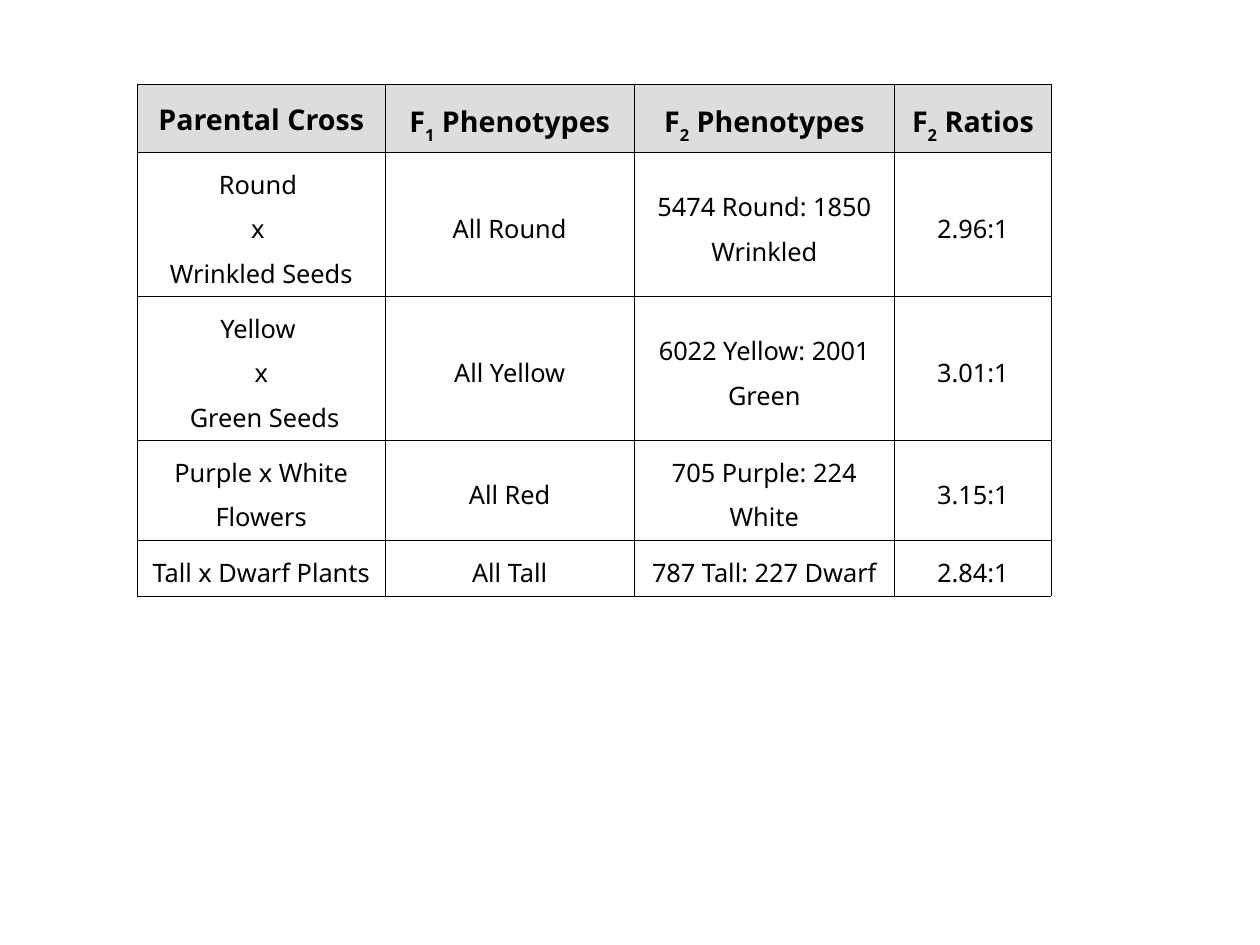
from dataclasses import dataclass

from lxml.etree import SubElement
from pptx import Presentation
from pptx.dml.color import RGBColor
from pptx.enum.text import MSO_ANCHOR, PP_ALIGN
from pptx.oxml.ns import qn
from pptx.util import Cm, Pt


@dataclass(frozen=True)
class Theme:
    font: str = "Noto Sans"
    ink: str = "000000"
    header_fill: str = "DDDDDD"
    body_fill: str = "FFFFFF"
    header_size: float = 18
    body_size: float = 16
    line_spacing: float = 1.28
    border_width: float = 0.17


HEADINGS = ["Parental Cross", "F_1_ Phenotypes", "F_2_ Phenotypes", "F_2_ Ratios"]
CROSSES = [
    ["Round \nx \nWrinkled Seeds", "All Round", "5474 Round: 1850 Wrinkled", "2.96:1"],
    ["Yellow \nx\n Green Seeds", "All Yellow", "6022 Yellow: 2001 Green", "3.01:1"],
    ["Purple x White Flowers", "All Red", "705 Purple: 224 White", "3.15:1"],
    ["Tall x Dwarf Plants", "All Tall", "787 Tall: 227 Dwarf", "2.84:1"],
]
COLUMN_WIDTHS = [5.51, 5.53, 5.79, 3.48]
ROW_HEIGHTS = [1.52, 3.2, 3.2, 2.21, 1.24]


class SlideBuilder:
    """Draw styled elements on one slide; underscores in text enclose subscripts."""

    def __init__(self, slide, theme):
        self.slide = slide
        self.theme = theme

    def add_table(self, left, top, widths, heights, rows):
        frame = self.slide.shapes.add_table(
            len(rows), len(widths), Cm(left), Cm(top), Cm(sum(widths)), Cm(sum(heights))
        )
        table = frame.table
        for column, width in zip(table.columns, widths):
            column.width = Cm(width)
        for row, height in zip(table.rows, heights):
            row.height = Cm(height)
        for row_index, texts in enumerate(rows):
            for column_index, text in enumerate(texts):
                self.fill_cell(table.cell(row_index, column_index), text, row_index == 0)

    def fill_cell(self, cell, text, is_header):
        theme = self.theme
        self.add_borders(cell)
        cell.fill.solid()
        cell.fill.fore_color.rgb = RGBColor.from_string(
            theme.header_fill if is_header else theme.body_fill
        )
        cell.vertical_anchor = MSO_ANCHOR.TOP if is_header else MSO_ANCHOR.MIDDLE
        for index, line in enumerate(text.split("\n")):
            text_frame = cell.text_frame
            paragraph = text_frame.add_paragraph() if index else text_frame.paragraphs[0]
            self.write_line(paragraph, line, is_header)

    def write_line(self, paragraph, line, is_header):
        theme = self.theme
        paragraph.alignment = PP_ALIGN.CENTER
        paragraph.line_spacing = theme.line_spacing
        paragraph.font.name = theme.font
        paragraph.font.size = Pt(theme.header_size if is_header else theme.body_size)
        paragraph.font.bold = is_header
        paragraph.font.color.rgb = RGBColor.from_string(theme.ink)
        for index, part in enumerate(line.split("_")):
            run = paragraph.add_run()
            run.text = part
            if index % 2:
                run._r.get_or_add_rPr().set("baseline", "-33000")

    def add_borders(self, cell):
        properties = cell._tc.get_or_add_tcPr()
        for side in ("lnL", "lnR", "lnT", "lnB"):
            border = SubElement(
                properties, qn(f"a:{side}"), w=str(Pt(self.theme.border_width))
            )
            fill = SubElement(border, qn("a:solidFill"))
            SubElement(fill, qn("a:srgbClr"), val=self.theme.ink)


def main():
    presentation = Presentation()
    presentation.slide_width = Cm(28)
    presentation.slide_height = Cm(21)
    slide = presentation.slides.add_slide(presentation.slide_layouts[6])
    builder = SlideBuilder(slide, Theme())
    builder.add_table(3.05, 1.86, COLUMN_WIDTHS, ROW_HEIGHTS, [HEADINGS, *CROSSES])
    presentation.save("out.pptx")


if __name__ == "__main__":
    main()
